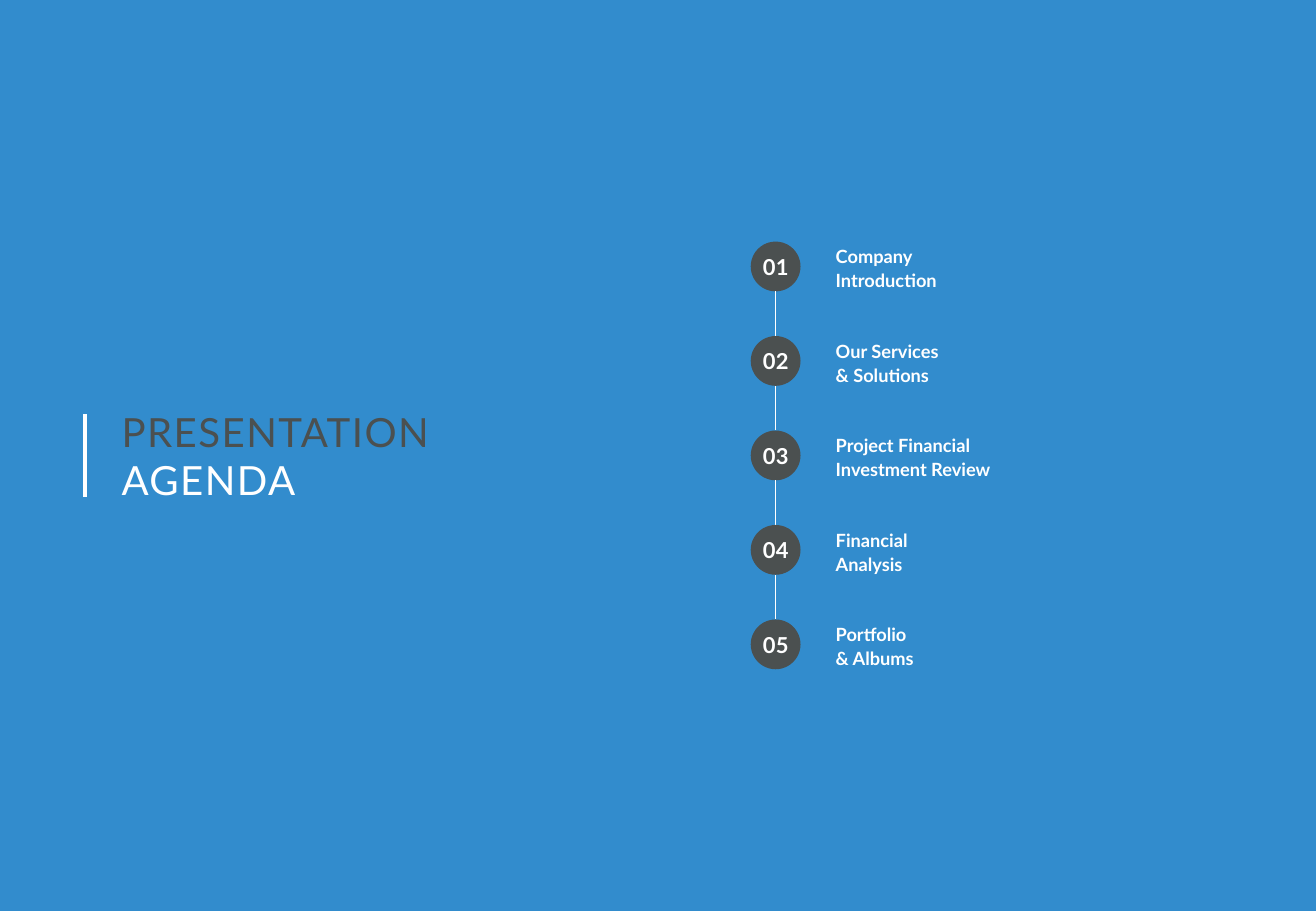
from lxml import etree
from pptx import Presentation
from pptx.dml.color import RGBColor
from pptx.enum.shapes import MSO_CONNECTOR, MSO_SHAPE
from pptx.enum.text import MSO_ANCHOR, MSO_AUTO_SIZE as AutoSize, PP_ALIGN
from pptx.oxml.ns import qn
from pptx.util import Pt

COLORS = {"blue": "328CCD", "slate": "4B5050", "white": "FFFFFF"}
TITLE = {"name": "Lato", "size": Pt(23.8)}
NUMBER = {"name": "Lato", "size": Pt(13), "bold": True}
TOPIC = {"name": "Lato", "size": Pt(10.8), "bold": True}
FRAME = {"margin_left": 0, "margin_top": 0, "margin_right": 0,
         "margin_bottom": 0, "word_wrap": True}

TOPICS = [
    ("Company", "Introduction"),
    ("Our Services", "& Solutions"),
    ("Project Financial", "Investment Review"),
    ("Financial", "Analysis"),
    ("Portfolio", "& Albums"),
]


def rgb(color):
    return RGBColor.from_string(COLORS[color])


def apply(target, values):
    for name, value in values.items():
        setattr(target, name, value)


def write(frame, lines, font, paragraph_format=None, tracking=0):
    """Fill a text frame with (text, color) lines."""
    apply(frame, FRAME)
    for index, (text, color) in enumerate(lines):
        paragraph = frame.add_paragraph() if index else frame.paragraphs[0]
        apply(paragraph, paragraph_format or {})
        run = paragraph.add_run()
        run.text = text
        apply(run.font, font)
        run.font.color.rgb = rgb(color)
        if tracking:
            run.font._element.set("spc", str(tracking))


def add_text(slide, box, lines, font, **options):
    frame = slide.shapes.add_textbox(*map(Pt, box)).text_frame
    write(frame, lines, font, **options)
    frame.auto_size = AutoSize.SHAPE_TO_FIT_TEXT


def add_rule(slide, x, top, bottom, weight):
    rule = slide.shapes.add_connector(
        MSO_CONNECTOR.STRAIGHT, Pt(x), Pt(top), Pt(x), Pt(bottom))
    rule.line.color.rgb = rgb("white")
    rule.line.width = Pt(weight)
    etree.SubElement(rule._element.spPr, qn("a:effectLst"))


def add_heading(slide, left, top, width, height):
    text_indent, rule_inset = 21.6, 4.3
    add_rule(slide, left, top + rule_inset, top + height - rule_inset, 2.25)
    add_text(slide, (left + text_indent, top, width - text_indent, height),
             [("PRESENTATION", "slate"), ("AGENDA", "white")],
             TITLE, tracking=90)


def add_timeline(slide, left, top, width, height):
    diameter, topic_indent, topic_drop = 29.5, 50.4, 1
    pitch = (height - diameter) / (len(TOPICS) - 1)
    for index, topic in enumerate(TOPICS):
        step_top = top + index * pitch

        # Link from the step above
        if index:
            add_rule(slide, left + diameter / 2,
                     step_top - pitch + diameter, step_top, 1)

        # Numbered circle
        circle = slide.shapes.add_shape(
            MSO_SHAPE.OVAL, Pt(left), Pt(step_top), Pt(diameter), Pt(diameter))
        circle.shadow.inherit = False
        circle.fill.solid()
        circle.fill.fore_color.rgb = rgb("slate")
        circle.line.fill.background()
        write(circle.text_frame, [(f"{index + 1:02d}", "white")], NUMBER,
              paragraph_format={"alignment": PP_ALIGN.CENTER}, tracking=20)
        circle.text_frame.vertical_anchor = MSO_ANCHOR.MIDDLE

        # Topic
        add_text(slide, (left + topic_indent, step_top + topic_drop,
                         width - topic_indent, 28.8),
                 [(line, "white") for line in topic], TOPIC,
                 paragraph_format={"line_spacing": 1.1})


def main():
    deck = Presentation()
    deck.slide_width, deck.slide_height = Pt(779.76), Pt(540)
    slide = deck.slides.add_slide(deck.slide_layouts[6])
    slide.background.fill.solid()
    slide.background.fill.fore_color.rgb = rgb("blue")
    add_heading(slide, 50.4, 241.2, 330.5, 57.6)
    add_timeline(slide, 444.8, 143.2, 191, 253.5)
    deck.save("out.pptx")


if __name__ == "__main__":
    main()
